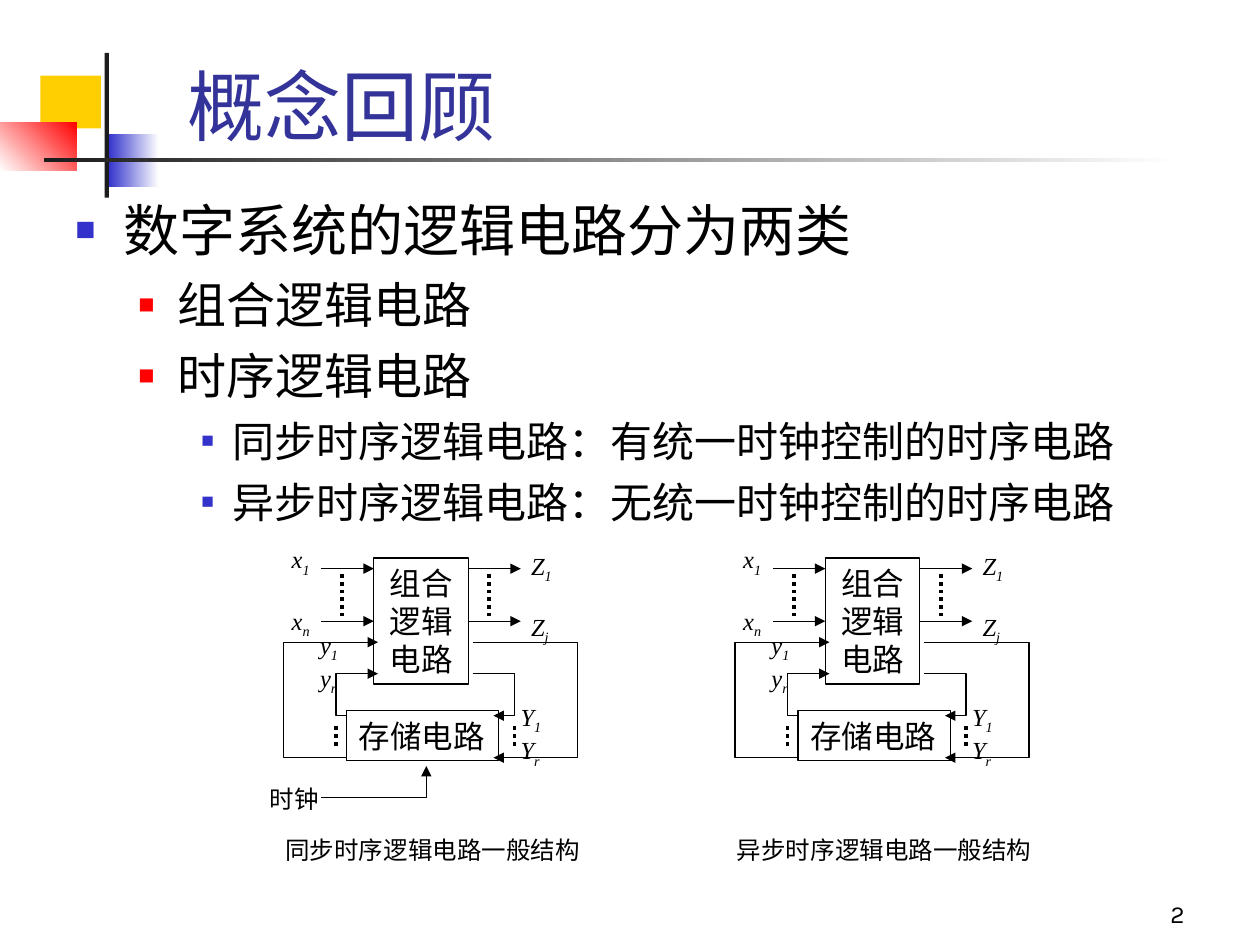
import pptx
import pptx.util
import pptx.dml.color
import pptx.enum.dml
import pptx.enum.shapes
import pptx.enum.text
import pptx.oxml.ns
from lxml import etree

RGB = pptx.dml.color.RGBColor
BLACK = RGB(0x00, 0x00, 0x00)
WHITE = RGB(0xFF, 0xFF, 0xFF)
INK = RGB(0x1C, 0x1C, 0x1C)
GOLD = RGB(0xFF, 0xCF, 0x01)
RED = RGB(0xFF, 0x00, 0x00)
BLUE = RGB(0x33, 0x33, 0xCC)
NAVY = RGB(0x33, 0x33, 0x99)

SANS, SERIF = "Karla", "Times New Roman"
Anchor = pptx.enum.text.MSO_ANCHOR
Align = pptx.enum.text.PP_ALIGN
Fit = pptx.enum.text.MSO_AUTO_SIZE
RECT = pptx.enum.shapes.MSO_SHAPE.RECTANGLE
STRAIGHT = pptx.enum.shapes.MSO_CONNECTOR.STRAIGHT
DOTS = pptx.enum.dml.MSO_LINE.ROUND_DOT

WIDTH, HEIGHT = 10, 7.5
CELL = 1 / 12          # side of a diagram grid cell, inches
PITCH = 43             # columns between the two diagrams


def add_xml(parent, tag, **attrs):
    return etree.SubElement(parent, pptx.oxml.ns.qn(tag), attrs)


class Page:
    """Holds the style, the slide, and the grid that lengths are given in."""

    def __init__(self, prs):
        self.s = prs.slides.add_slide(prs.slide_layouts[5])
        self.use_percent()

    def use_percent(self):
        self.shapes = self.s.shapes
        self.origin, self.unit = (0, 0), (WIDTH / 100, HEIGHT / 100)

    def use_grid(self, left, top):
        self.origin, self.unit = (left, top), (CELL, CELL)

    def point(self, x, y):
        return [pptx.util.Inches(o + v * u)
                for o, v, u in zip(self.origin, (x, y), self.unit)]

    def frame(self, x, y, w, h):
        size = [pptx.util.Inches(v * u) for v, u in zip((w, h), self.unit)]
        return self.point(x, y) + size

    def font(self, target, size, name=SERIF, color=BLACK, **more):
        for key, value in dict(size=pptx.util.Pt(size), name=name, **more).items():
            setattr(target.font, key, value)
        target.font.color.rgb = color

    def line(self, sp, arrow=False, width=0.75):
        sp.line.color.rgb = BLACK
        sp.line.width = pptx.util.Pt(width)
        if arrow:
            add_xml(sp.line._get_or_add_ln(), "a:tailEnd", type="triangle")

    def title(self, text, frame):
        sp = self.s.shapes.title
        sp.left, sp.top, sp.width, sp.height = self.frame(*frame)
        tf = sp.text_frame
        tf.text, tf.vertical_anchor, tf.auto_size = text, Anchor.BOTTOM, Fit.NONE
        tf.paragraphs[0].alignment = Align.LEFT
        self.font(tf.paragraphs[0], 44, SANS, NAVY)

    def bar(self, frame, colors, angle=0):
        sp = self.shapes.add_shape(RECT, *self.frame(*frame))
        sp.shadow.inherit = False
        sp.line.fill.background()
        if len(colors) == 1:
            sp.fill.solid()
            sp.fill.fore_color.rgb = colors[0]
        else:
            sp.fill.gradient()
            sp.fill.gradient_angle = angle
            for stop, color, place in zip(sp.fill.gradient_stops, colors, (0, 1)):
                stop.color.rgb, stop.position = color, place

    def text(self, text, frame, size=14, name=SERIF, align=Align.LEFT,
             anchor=Anchor.TOP, wrap=False):
        tf = self.shapes.add_textbox(*self.frame(*frame)).text_frame
        tf.word_wrap, tf.vertical_anchor = wrap, anchor
        tf.auto_size = Fit.NONE if wrap else Fit.SHAPE_TO_FIT_TEXT
        p = tf.paragraphs[0]
        p.text, p.alignment = text, align
        self.font(p, size, name)

    def bullets(self, items, levels, frame):
        tf = self.shapes.add_textbox(*self.frame(*frame)).text_frame
        tf.word_wrap = True
        for i, (level, text) in enumerate(items):
            p = tf.paragraphs[0] if i == 0 else tf.add_paragraph()
            size, color, share, margin, hang, gap = levels[level]
            p.level, p.text = level, text
            p.space_before = pptx.util.Pt(gap if i else 0)
            pPr = p._p.get_or_add_pPr()
            pPr.set("marL", str(pptx.util.Inches(margin)))
            pPr.set("indent", str(-pptx.util.Inches(hang)))
            add_xml(add_xml(pPr, "a:buClr"), "a:srgbClr", val=str(color))
            add_xml(pPr, "a:buSzPct", val=str(share * 1000))
            add_xml(pPr, "a:buFont", typeface="Arial")
            add_xml(pPr, "a:buChar", char="■")
            self.font(p.runs[0], size, SANS)

    def block(self, text, frame, align=Align.LEFT):
        sp = self.shapes.add_shape(RECT, *self.frame(*frame))
        sp.shadow.inherit = False
        sp.fill.background()
        self.line(sp)
        tf = sp.text_frame
        tf.word_wrap, tf.vertical_anchor = True, Anchor.TOP
        p = tf.paragraphs[0]
        p.text, p.alignment = text, align
        self.font(p, 18)
        return sp

    def signals(self, letter, subs, frame, gap=0):
        tf = self.shapes.add_textbox(*self.frame(*frame)).text_frame
        tf.word_wrap, tf.auto_size = False, Fit.NONE
        tf.margin_right = 0
        for i, sub in enumerate(subs):
            p = tf.add_paragraph() if i else tf.paragraphs[0]
            p.alignment = Align.LEFT
            p.space_before = pptx.util.Pt(gap if i else 0)
            for text, base in ((letter, 0), (sub, -25000)):
                r = p.add_run()
                r.text = text
                self.font(r, 14, italic=True)
                r._r.get_or_add_rPr().set("baseline", str(base))

    def straight(self, x1, y1, x2, y2, arrow=True):
        cn = self.shapes.add_connector(STRAIGHT, *self.point(x1, y1), *self.point(x2, y2))
        self.line(cn, arrow, 0.75 if arrow else 2.25)
        if not arrow:
            cn.line.dash_style = DOTS
        add_xml(cn._element.spPr, "a:effectLst")
        return cn

    def wire(self, *corners):
        start, *rest = [self.point(*c) for c in corners]
        fb = self.shapes.build_freeform(*start)
        fb.add_line_segments(rest, close=False)
        sp = fb.convert_to_shape()
        sp.shadow.inherit = False
        sp.fill.background()
        self.line(sp, arrow=True)

    def circuit(self, column, caption, clocked):
        self.use_percent()
        self.use_grid(2.25 + column * CELL, 4.43)
        self.text(caption, (-1, 25.8, 30.5, 4.1))
        self.shapes = self.s.shapes.add_group_shape().shapes

        # Combinational logic with its inputs and outputs
        logic = self.block("组合逻辑电路", (8.6, 0, 9, 12), Align.CENTER)
        self.signals("x", "1n", (-0.4, -1.9, 5, 10.4), gap=16)
        self.signals("Z", "1j", (22.4, -1.3, 5, 10.4), gap=16)
        for left, right in ((3.6, 8.6), (17.6, 22.6)):
            self.straight(left, 1, right, 1)
            middle = self.straight(left, 6, right, 6)
            if right == 8.6:
                middle.end_connect(logic, 1)
            else:
                middle.begin_connect(logic, 3)
            self.straight(left + 2, 1.5, left + 2, 5.5, arrow=False)

        # Storage with its feedback wires
        self.block("存储电路", (6, 14.5, 14.5, 4.8))
        self.wire((18, 11), (22, 11), (22, 15), (20, 15))
        self.wire((18, 8), (28, 8), (28, 19), (20, 19))
        self.wire((6, 15), (5, 15), (5, 11), (9, 11))
        self.wire((6, 19), (0, 19), (0, 8), (9, 8))
        for x in (5, 22):
            self.straight(x, 16, x, 18, arrow=False)
        self.signals("Y", "1r", (21.4, 13.1, 5, 7.6))
        self.signals("y", "1r", (2.3, 6.2, 5, 7.6))

        # Clock input
        if clocked:
            self.wire((3.6, 22.8), (13.6, 22.8), (13.6, 19.8))
            self.text("时钟", (-2.5, 20.9, 7.1, 4.1))


prs = pptx.Presentation()
prs.slide_width, prs.slide_height = pptx.util.Inches(WIDTH), pptx.util.Inches(HEIGHT)
page = Page(prs)

# Corner ornament
page.bar((3.2, 8, 4.8, 5.6), [GOLD])
page.bar((8.6, 14.2, 4, 5.6), [BLUE, WHITE])
page.bar((0, 12.93, 6.1, 5.07), [WHITE, RED], angle=45)
page.bar((8.3, 5.6, 0.35, 15.33), [INK])
page.bar((3.5, 16.67, 90, 0.47), [INK, WHITE])

# Title, page number and outline
page.title("概念回顾", (13.9, 7.73, 85.2, 8.93))
page.text("2", (74.2, 92.27, 20.8, 6.67), name=SANS, align=Align.RIGHT,
          anchor=Anchor.BOTTOM, wrap=True)
LEVELS = [  # size, bullet colour, bullet %, margin, hang, space before
    (32, BLUE, 60, 0.38, 0.38, 8),
    (28, RED, 55, 0.81, 0.31, 7),
    (24, BLUE, 50, 1.25, 0.25, 6),
]
page.bullets([
    (0, "数字系统的逻辑电路分为两类"),
    (1, "组合逻辑电路"),
    (1, "时序逻辑电路"),
    (2, "同步时序逻辑电路：有统一时钟控制的时序电路"),
    (2, "异步时序逻辑电路：无统一时钟控制的时序电路"),
], LEVELS, (5, 20, 91.7, 71.07))

# Circuit diagrams
page.circuit(0, "同步时序逻辑电路一般结构", clocked=True)
page.circuit(PITCH, "异步时序逻辑电路一般结构", clocked=False)

prs.save("out.pptx")
